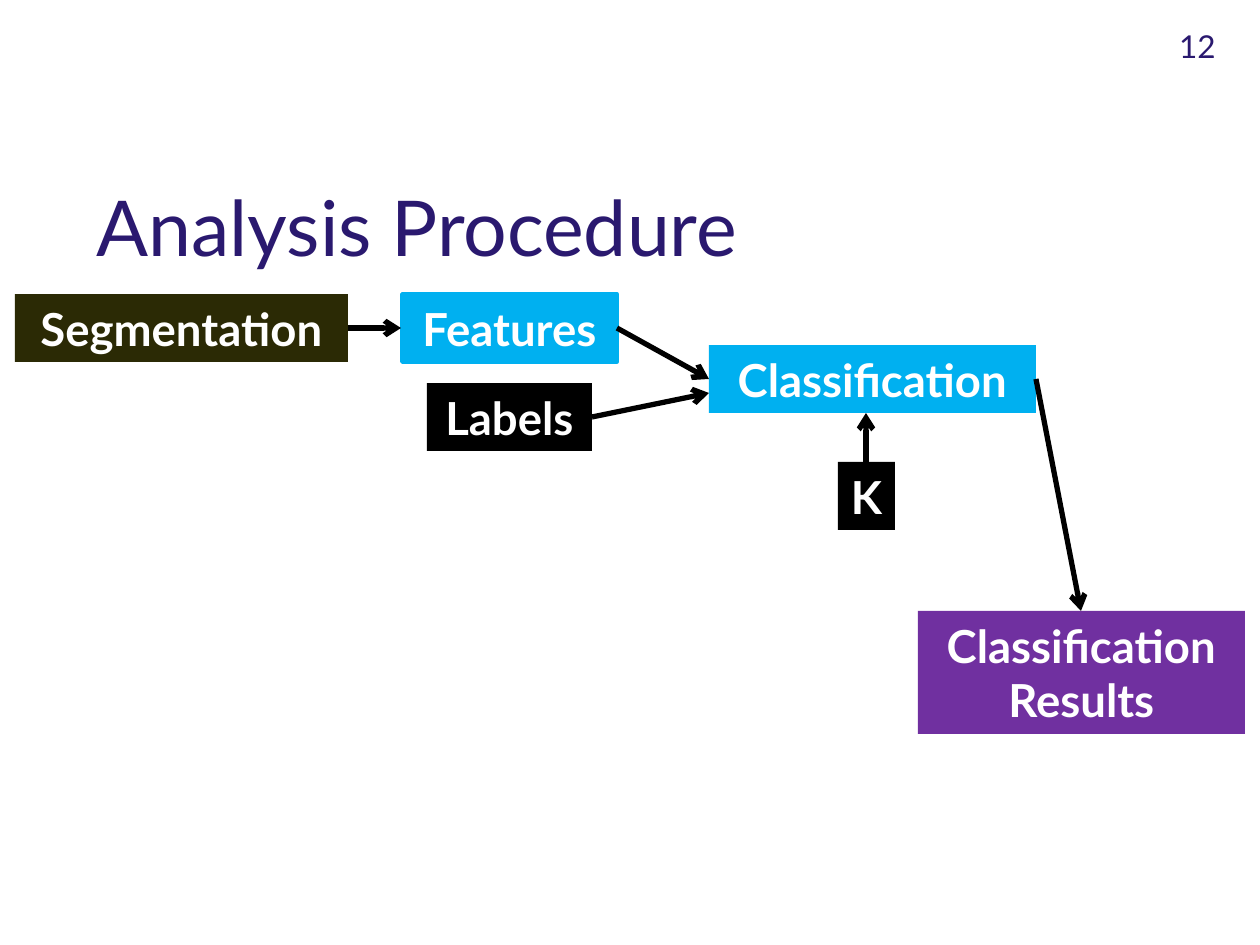
from lxml import etree
from pptx import Presentation
from pptx.dml.color import RGBColor
from pptx.enum.shapes import MSO_CONNECTOR, MSO_SHAPE
from pptx.enum.text import MSO_ANCHOR, PP_ALIGN
from pptx.oxml.ns import qn
from pptx.util import Pt

EMU_PER_PX = 914400 / 126
RECTANGLE = MSO_SHAPE.RECTANGLE
STRAIGHT = MSO_CONNECTOR.STRAIGHT
TOP, MIDDLE = MSO_ANCHOR.TOP, MSO_ANCHOR.MIDDLE
LEFT, CENTER, RIGHT = PP_ALIGN.LEFT, PP_ALIGN.CENTER, PP_ALIGN.RIGHT

FONT = "Lato"
NAVY = RGBColor(0x2A, 0x19, 0x6F)
OLIVE = RGBColor(0x2B, 0x2A, 0x05)
SKY = RGBColor(0x00, 0xB0, 0xF0)
PURPLE = RGBColor(0x70, 0x30, 0xA0)
BLACK = RGBColor(0x00, 0x00, 0x00)
WHITE = RGBColor(0xFF, 0xFF, 0xFF)

STEPS = {
    "segmentation": ("Segmentation", (0, 1, 333, 68), OLIVE),
    "features": ("Features", (387, 1, 215, 68), SKY),
    "labels": ("Labels", (412, 90, 165, 68), BLACK),
    "classification": ("Classification", (694, 52, 327, 68), SKY),
    "k": ("K", (823, 169, 57, 68), BLACK),
    "results": ("Classification\nResults", (903, 318, 327, 123), PURPLE),
}
ARROWS = [
    ((333, 35), (386, 35)),
    ((602, 35), (694, 86)),
    ((577, 124), (694, 100)),
    ((851, 169), (851, 120)),
    ((1021, 86), (1066, 318)),
]


def px(length):
    return round(length * EMU_PER_PX)


def set_text(shape, text, size, color, align, anchor, bold=False):
    frame = shape.text_frame
    frame.text = text
    frame.vertical_anchor = anchor
    for para in frame.paragraphs:
        para.alignment = align
        for span in para.runs:
            span.font.name = FONT
            span.font.size = Pt(size)
            span.font.bold = bold
            span.font.color.rgb = color


def add_label(page, box, text, size, align):
    label = page.shapes.add_textbox(*map(px, box))
    set_text(label, text, size, NAVY, align, TOP)
    label.text_frame.word_wrap = True
    return label


def add_heading(page, box):
    title = add_label(page, box, "Analysis Procedure", 44, LEFT)
    title.text_frame.paragraphs[0].line_spacing = 0.83


def add_step(page, box, text, fill):
    step = page.shapes.add_shape(RECTANGLE, *map(px, box))
    step.shadow.inherit = False
    step.fill.solid()
    step.fill.fore_color.rgb = fill
    step.line.fill.background()
    set_text(step, text, 26, WHITE, CENTER, MIDDLE, bold=True)
    step.text_frame.word_wrap = False
    return step


def add_arrow(page, start, end):
    arrow = page.shapes.add_connector(STRAIGHT, *map(px, start + end))
    arrow.line.color.rgb = BLACK
    arrow.line.width = Pt(3)
    etree.SubElement(arrow.line._get_or_add_ln(), qn("a:tailEnd"), type="arrow")
    etree.SubElement(arrow._element.spPr, qn("a:effectLst"))


def add_flow(page, box):
    left, top, width, height = box
    steps = {}
    for name, (text, (x, y, w, h), fill) in STEPS.items():
        steps[name] = add_step(page, (left + x, top + y, w, h), text, fill)
    steps["features"].line.color.rgb = SKY
    steps["features"].line.width = Pt(2)
    for (x1, y1), (x2, y2) in ARROWS:
        add_arrow(page, (left + x1, top + y1), (left + x2, top + y2))


def main():
    deck = Presentation()
    deck.slide_width, deck.slide_height = px(1260), px(945)
    page = deck.slides.add_slide(deck.slide_layouts[6])
    add_heading(page, (84, 189, 1134, 105))
    add_label(page, (966, 21, 262, 63), "12", 18, RIGHT)
    add_flow(page, (15, 293, 1230, 441))
    deck.save("out.pptx")


if __name__ == "__main__":
    main()
